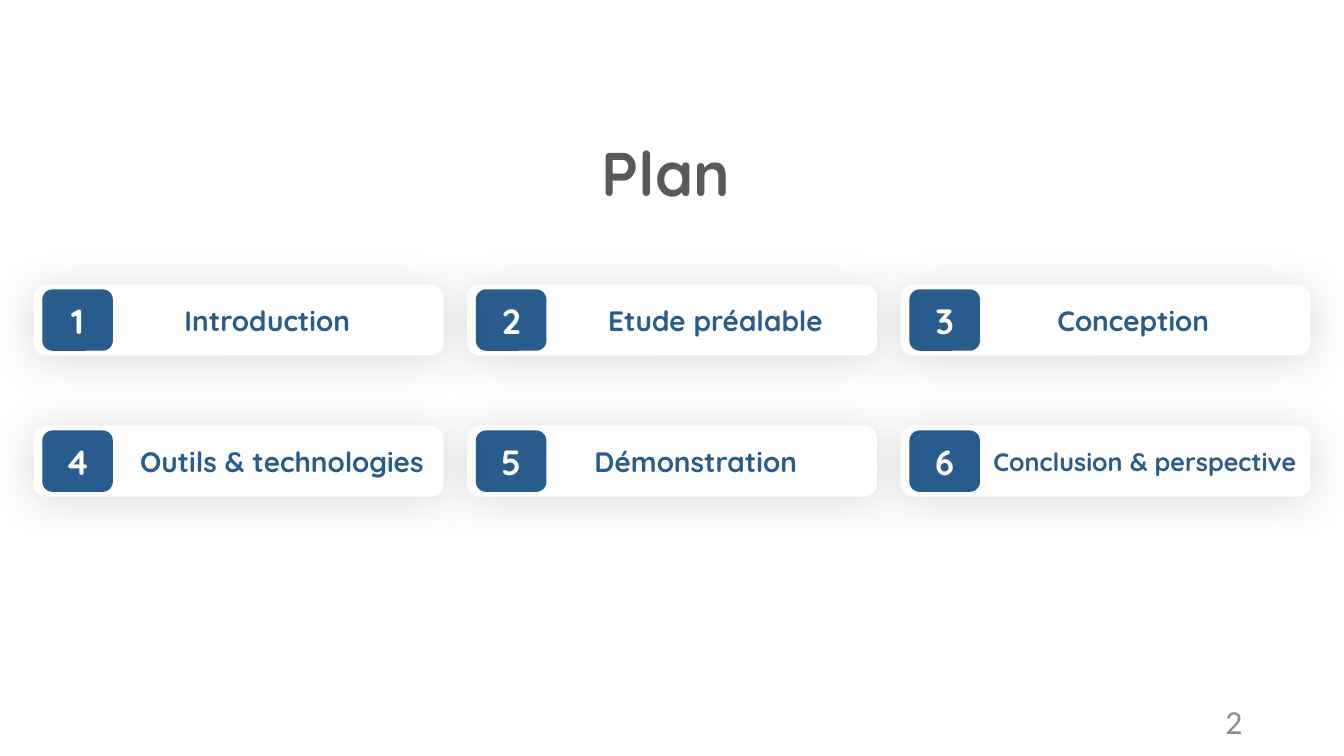
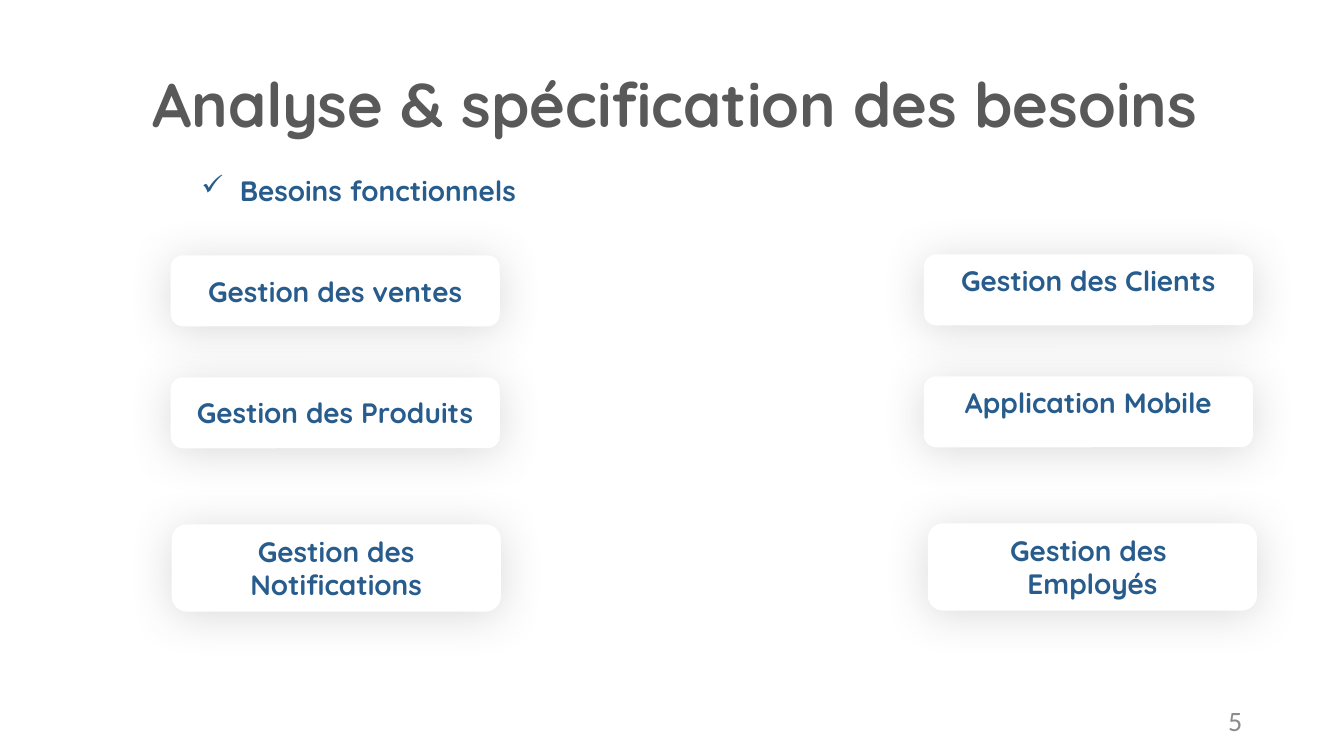
from lxml import etree
from pptx import Presentation
from pptx import util as u
from pptx.dml.color import RGBColor
from pptx.enum import shapes, text
from pptx.oxml.ns import qn

PX = 9144  # 100 px to the inch
COLORS = {"white": "FFFFFF", "blue": "275C8D", "title": "595959", "number": "8C8C8C"}
HEAD_FONT, NUMBER_FONT = "Quicksand", "Calibri"
LEFT, CENTER, RIGHT = text.PP_ALIGN.LEFT, text.PP_ALIGN.CENTER, text.PP_ALIGN.RIGHT
TOP, MIDDLE = text.MSO_ANCHOR.TOP, text.MSO_ANCHOR.MIDDLE

# label, left inset, size, alignment
PLAN = [
    ("Introduction", 67, 20, CENTER),
    ("Etude préalable", 96, 20, CENTER),
    ("Conception", 65, 20, CENTER),
    ("Outils & technologies", 96, 20, CENTER),
    ("Démonstration", 57, 20, CENTER),
    ("Conclusion & perspective", 80, 18, RIGHT),
]
# lines, left, top, height, anchor
NEEDS = [
    (["Gestion des Produits"], 170, 375, 69, MIDDLE),
    (["Gestion des Notifications"], 171, 521, 85, TOP),
    (["Application Mobile"], 917, 374, 69, TOP),
    (["Gestion des ", "Employés"], 921, 520, 85, TOP),
    (["Gestion des ventes"], 170, 254, 69, MIDDLE),
    (["Gestion des Clients"], 917, 253, 69, TOP),
]


def rgb(name):
    return RGBColor.from_string(COLORS[name])


def emu(*lengths):
    return [u.Emu(n * PX) for n in lengths]


def write(sp, lines, size, color, align=CENTER, anchor=MIDDLE, font=HEAD_FONT, bold=True):
    """Fill a shape with one paragraph per line and return its text frame."""
    tf = sp.text_frame
    tf.word_wrap = True
    tf.vertical_anchor = anchor
    for i, line in enumerate(lines):
        p = tf.add_paragraph() if i else tf.paragraphs[0]
        p.alignment = align
        r = p.add_run()
        r.text = line
        r.font.name, r.font.size, r.font.bold = font, u.Pt(size), bold
        r.font.color.rgb = rgb(color)
    return tf


def add_title(s, box, title):
    sp = s.shapes.add_textbox(*emu(*box))
    tf = write(sp, [title], 44, "title", LEFT)
    tf.paragraphs[0].line_spacing = 0.9


def add_number(s, number, size):
    sp = s.shapes.add_textbox(*emu(942, 695, 300, 40))
    write(sp, [number], size, "number", RIGHT, font=NUMBER_FONT, bold=False)


def add_rounded(s, box, fill):
    sp = s.shapes.add_shape(shapes.MSO_SHAPE.ROUNDED_RECTANGLE, *emu(*box))
    sp.shadow.inherit = False
    sp.fill.solid()
    sp.fill.fore_color.rgb = rgb(fill)
    sp.line.fill.background()
    return sp


def add_soft_shadow(sp):
    effects = sp._element.spPr.find(qn("a:effectLst"))
    shadow = etree.SubElement(effects, qn("a:outerShdw"), blurRad=str(u.Pt(32)),
                              dist=str(u.Pt(3)), dir=str(94 * 60000),
                              algn="ctr", rotWithShape="0")
    color = etree.SubElement(shadow, qn("a:srgbClr"), val=COLORS["title"])
    etree.SubElement(color, qn("a:alpha"), val="22000")


def add_card(s, box, lines, size=20, align=CENTER, anchor=MIDDLE, inset=10):
    sp = add_rounded(s, box, "white")
    sp.line.color.rgb = rgb("white")
    sp.line.width = u.Pt(1)
    add_soft_shadow(sp)
    tf = write(sp, lines, size, "blue", align, anchor)
    tf.margin_left = u.Emu(inset * PX)


def add_check_item(s, box, label):
    sp = s.shapes.add_textbox(*emu(*box))
    tf = write(sp, [label], 20, "blue", LEFT, TOP)
    tf.auto_size = text.MSO_AUTO_SIZE.SHAPE_TO_FIT_TEXT
    pPr = tf.paragraphs[0]._p.get_or_add_pPr()
    indent = 38 * PX
    pPr.set("marL", str(indent))
    pPr.set("indent", str(-indent))
    etree.SubElement(pPr, qn("a:buChar"), char="✓")


def build_plan(s):
    add_title(s, (587, 103, 262, 145), "Plan")
    # Last entry first, so that earlier cards lie above later shadows
    for i, (label, inset, size, align) in reversed(list(enumerate(PLAN))):
        row, col = divmod(i, 3)
        x, y = 34 + 430 * col, 283 + 140 * row
        add_card(s, (x, y, 405, 69), [label], size, align, inset=inset)
        badge = add_rounded(s, (x + 8, y + 4, 70, 61), "blue")
        write(badge, [str(i + 1)], 25, "white")
    add_number(s, "2", 24)


def build_needs(s):
    add_title(s, (141, 34, 1125, 145), "Analyse & spécification des besoins")
    add_check_item(s, (190, 167, 409, 44), "Besoins fonctionnels")
    add_number(s, "5", 20)
    for lines, x, y, height, anchor in NEEDS:
        add_card(s, (x, y, 325, height), lines, anchor=anchor)


def main():
    prs = Presentation()
    prs.slide_width, prs.slide_height = emu(1333, 750)
    for build in (build_plan, build_needs):
        build(prs.slides.add_slide(prs.slide_layouts[6]))
    prs.save("out.pptx")


if __name__ == "__main__":
    main()
